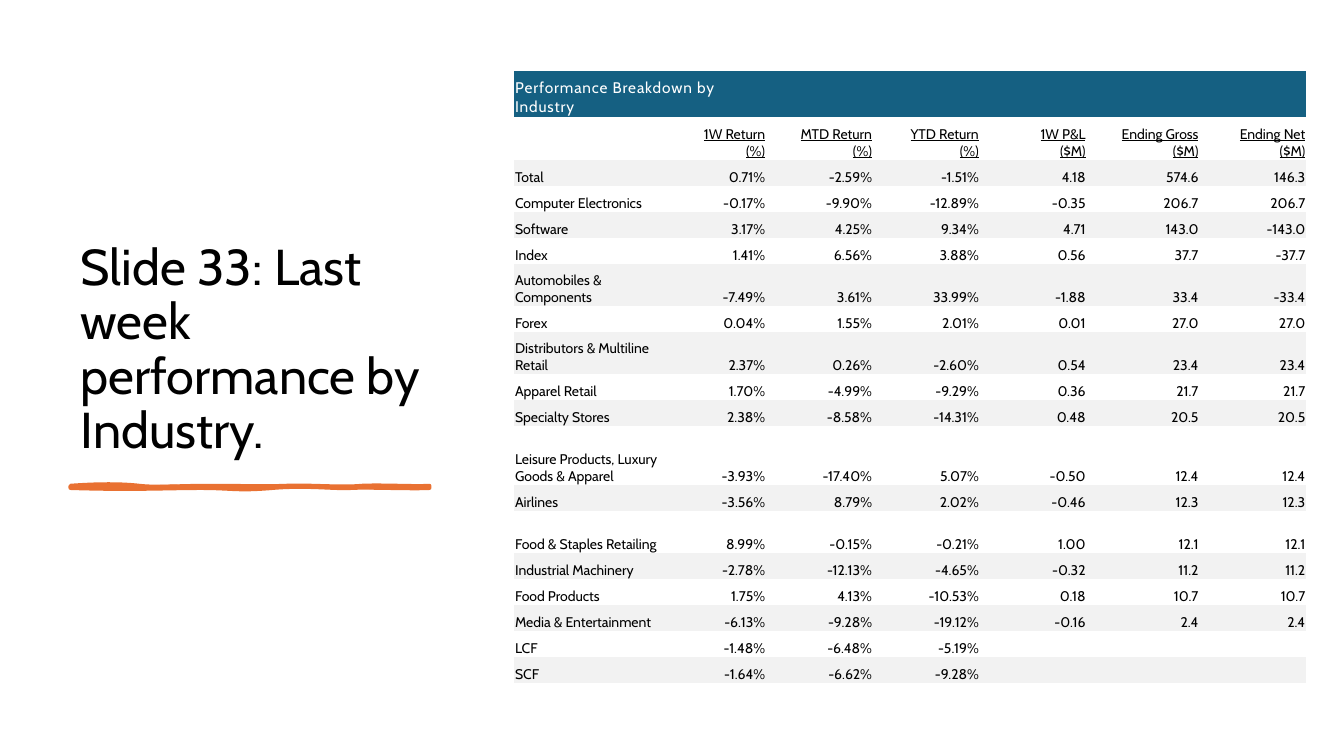
from dataclasses import dataclass
from typing import NamedTuple

from lxml import etree
from pptx import Presentation
from pptx import util as u
from pptx.dml.color import RGBColor
from pptx.enum import text
from pptx.oxml import ns


@dataclass(frozen=True)
class Theme:
    font: str = "Cabin"
    ink: str = "000000"
    paper: str = "FFFFFF"
    banner: str = "156082"
    band: str = "F2F2F2"
    accent: str = "E97132"
    title_size: float = 36
    banner_size: float = 11
    body_size: float = 10


class Box(NamedTuple):
    """Place and size in percent of the slide."""
    left: float
    top: float
    width: float
    height: float


class Industry(NamedTuple):
    name: str
    values: str
    height: float


THEME = Theme()
WIDTH, HEIGHT = u.Inches(13.333), u.Inches(7.5)
TITLE_BOX = Box(5.25, 9.33, 29.33, 52.13)
RULE_BOX = Box(5.25, 64.27, 26.7, 0.27)
TABLE_BOX = Box(38.25, 9.4, 58.95, 80.9)
COLUMNS = [10.8, 7.95, 7.95, 7.95, 7.95, 8.4, 7.95]
BANNER_ROW, ONE_LINE, TWO_LINES, THREE_LINES = 6.13, 3.44, 5.6, 7.73
NO_STYLE = "{2D5ABB26-0587-4C30-8999-92F81FD0307C}"

HEADINGS = ["", "1W Return\n(%)", "MTD Return\n(%)", "YTD Return\n(%)",
            "1W P&L\n($M)", "Ending Gross\n($M)", "Ending Net\n($M)"]
INDUSTRIES = [
    Industry("Total", "0.71% -2.59% -1.51% 4.18 574.6 146.3", ONE_LINE),
    Industry("Computer Electronics", "-0.17% -9.90% -12.89% -0.35 206.7 206.7", ONE_LINE),
    Industry("Software", "3.17% 4.25% 9.34% 4.71 143.0 -143.0", ONE_LINE),
    Industry("Index", "1.41% 6.56% 3.88% 0.56 37.7 -37.7", ONE_LINE),
    Industry("Automobiles & Components", "-7.49% 3.61% 33.99% -1.88 33.4 -33.4", TWO_LINES),
    Industry("Forex", "0.04% 1.55% 2.01% 0.01 27.0 27.0", ONE_LINE),
    Industry("Distributors & Multiline Retail", "2.37% 0.26% -2.60% 0.54 23.4 23.4", TWO_LINES),
    Industry("Apparel Retail", "1.70% -4.99% -9.29% 0.36 21.7 21.7", ONE_LINE),
    Industry("Specialty Stores", "2.38% -8.58% -14.31% 0.48 20.5 20.5", ONE_LINE),
    Industry("Leisure Products, Luxury Goods & Apparel",
             "-3.93% -17.40% 5.07% -0.50 12.4 12.4", THREE_LINES),
    Industry("Airlines", "-3.56% 8.79% 2.02% -0.46 12.3 12.3", ONE_LINE),
    Industry("Food & Staples Retailing", "8.99% -0.15% -0.21% 1.00 12.1 12.1", TWO_LINES),
    Industry("Industrial Machinery", "-2.78% -12.13% -4.65% -0.32 11.2 11.2", ONE_LINE),
    Industry("Food Products", "1.75% 4.13% -10.53% 0.18 10.7 10.7", ONE_LINE),
    Industry("Media & Entertainment", "-6.13% -9.28% -19.12% -0.16 2.4 2.4", ONE_LINE),
    Industry("LCF", "-1.48% -6.48% -5.19%", ONE_LINE),
    Industry("SCF", "-1.64% -6.62% -9.28%", ONE_LINE),
]

# Brush stroke curves: x,y in hundredths of an inch from the stroke's corner
RULE_GRID = (356, 2)
STROKE_EDGE = """0,0 27,-2 51,-2 68,0 85,2 107,0 139,0 171,0 190,1 214,0
    238,-1 269,2 289,0 309,-1 342,1 356,0 356,1 356,2 356,2 338,3 294,1 278,2
    262,3 234,-1 200,2 165,5 161,2 129,2 96,2 62,4 0,2 0,2 0,1 0,0"""
STROKE_BODY = """0,0 32,2 40,2 68,0 96,-1 99,-2 129,0 158,2 191,1 207,0
    223,-1 257,3 274,0 292,-2 327,4 356,0 356,1 356,1 356,2 342,2 302,5 285,2
    268,0 239,2 207,2 174,2 170,1 146,2 123,3 109,1 75,2 41,3 22,2 0,2 0,1 0,1 0,0"""


def across(percent: float) -> u.Emu:
    return u.Emu(round(WIDTH * percent / 100))


def down(percent: float) -> u.Emu:
    return u.Emu(round(HEIGHT * percent / 100))


def place(box: Box) -> tuple:
    return across(box.left), down(box.top), across(box.width), down(box.height)


def write(tf, content: str, size: float = THEME.body_size, color: str = THEME.ink,
          underline: bool = False, spacing: float = 0, right: bool = False) -> None:
    """Put text into a frame's first paragraph; a newline is a line break."""
    p = tf.paragraphs[0]
    p.alignment = text.PP_ALIGN.RIGHT if right else text.PP_ALIGN.LEFT
    if not content:
        etree.SubElement(p._p, ns.qn("a:endParaRPr"), sz=str(round(size * 100)))
        return
    for i, line in enumerate(content.split("\n")):
        if i:
            p.add_line_break()
        r = p.add_run()
        r.text = line
        r.font.name, r.font.size = THEME.font, u.Pt(size)
        r.font.color.rgb = RGBColor.from_string(color)
        r.font.underline = underline
        if spacing:
            r._r.get_or_add_rPr().set("spc", str(round(spacing * 100)))


def add_title(s) -> None:
    sp = s.shapes.title
    sp.left, sp.top, sp.width, sp.height = place(TITLE_BOX)
    tf = sp.text_frame
    tf.word_wrap, tf.auto_size = True, text.MSO_AUTO_SIZE.NONE
    tf.vertical_anchor = text.MSO_ANCHOR.BOTTOM
    write(tf, "Slide 33: Last week performance by Industry.", size=THEME.title_size)
    tf.paragraphs[0].line_spacing = 0.9


def add_curves(path_list, points: str, **flags: str) -> None:
    w, h = RULE_GRID
    outline = etree.SubElement(path_list, ns.qn("a:path"), w=str(w), h=str(h), **flags)
    pairs = [pair.split(",") for pair in points.split()]
    steps = [("a:moveTo", pairs[:1])]
    steps += [("a:cubicBezTo", pairs[i:i + 3]) for i in range(1, len(pairs), 3)]
    for tag, ends in steps:
        step = etree.SubElement(outline, ns.qn(tag))
        for x, y in ends:
            etree.SubElement(step, ns.qn("a:pt"), x=x, y=y)
    etree.SubElement(outline, ns.qn("a:close"))


def add_brush_rule(s) -> None:
    left, top, width, height = place(RULE_BOX)
    builder = s.shapes.build_freeform(left, top)
    builder.add_line_segments([(left + width, top), (left + width, top + height),
                               (left, top + height)])
    sp = builder.convert_to_shape()
    sp.shadow.inherit = False
    sp.fill.solid()
    sp.fill.fore_color.rgb = sp.line.color.rgb = RGBColor.from_string(THEME.accent)
    sp.line.width = u.Pt(3)
    path_list = sp._element.find(".//" + ns.qn("a:pathLst"))
    path_list.remove(path_list[0])
    add_curves(path_list, STROKE_EDGE, fill="none")
    add_curves(path_list, STROKE_BODY, stroke="0")


def add_performance_table(s) -> None:
    heights = [BANNER_ROW, TWO_LINES] + [row.height for row in INDUSTRIES]
    frame = s.shapes.add_table(len(heights), len(COLUMNS), *place(TABLE_BOX))
    table = frame.table
    table.first_row = table.horz_banding = False
    table._tbl.find(".//" + ns.qn("a:tableStyleId")).text = NO_STYLE
    for column, width in zip(table.columns, COLUMNS):
        column.width = across(width)
    for row, height in zip(table.rows, heights):
        row.height = down(height)

    rows = [["Performance Breakdown by Industry"], HEADINGS]
    rows += [[row.name, *row.values.split()] for row in INDUSTRIES]
    for i, contents in enumerate(rows):
        for j in range(len(COLUMNS)):
            cell = table.cell(i, j)
            cell.margin_left = cell.margin_right = u.Inches(0.01)
            cell.margin_top, cell.margin_bottom = u.Inches(0.07), 0
            cell.vertical_anchor = text.MSO_ANCHOR.BOTTOM if i else text.MSO_ANCHOR.MIDDLE
            # Banner first, then every second row is banded
            if i % 2 == 0:
                cell.fill.solid()
                cell.fill.fore_color.rgb = RGBColor.from_string(THEME.band if i else THEME.banner)
            else:
                cell.fill.background()
            content = contents[j] if j < len(contents) else ""
            if i == 0:
                write(cell.text_frame, content, size=THEME.banner_size,
                      color=THEME.paper, spacing=0.6)
            else:
                write(cell.text_frame, content, underline=i == 1, right=j > 0)
    table.cell(0, 0).merge(table.cell(0, 1))


def main() -> None:
    prs = Presentation()
    prs.slide_width, prs.slide_height = WIDTH, HEIGHT
    s = prs.slides.add_slide(prs.slide_layouts[5])
    add_title(s)
    add_brush_rule(s)
    add_performance_table(s)
    prs.save("out.pptx")


if __name__ == "__main__":
    main()
